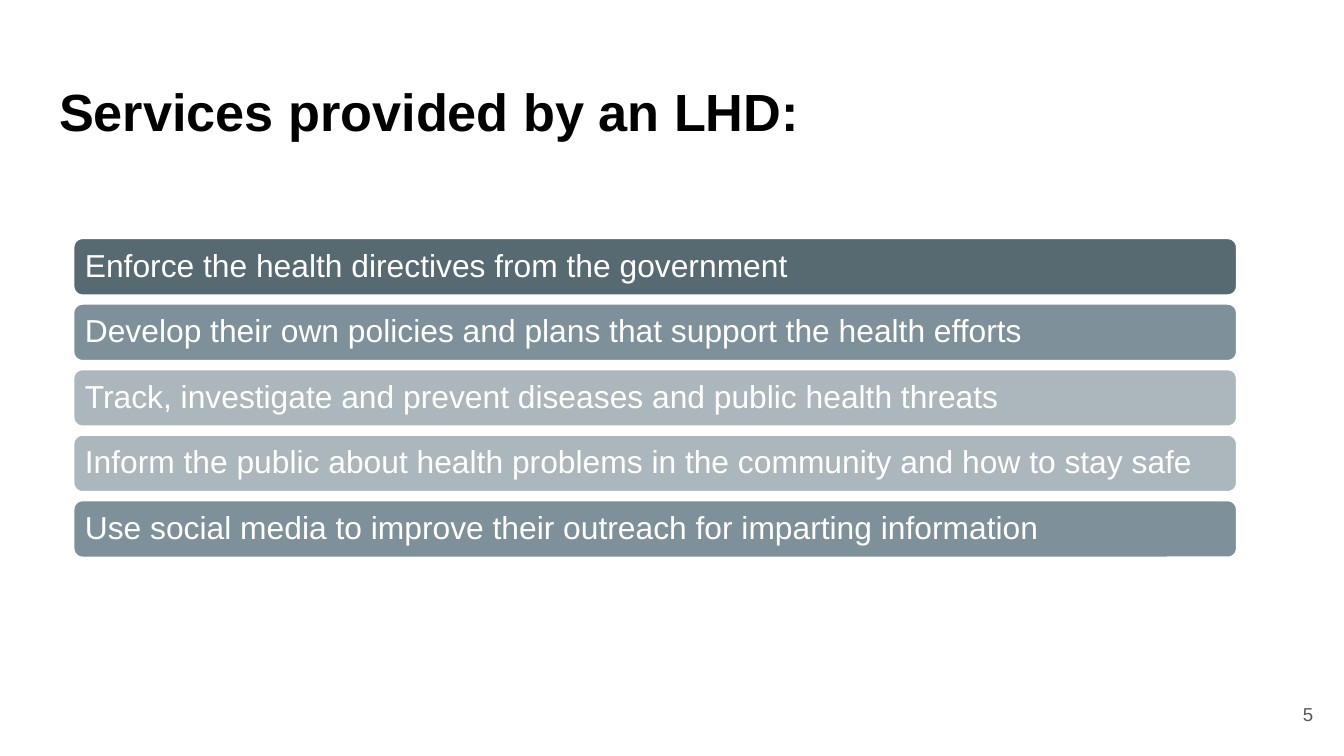
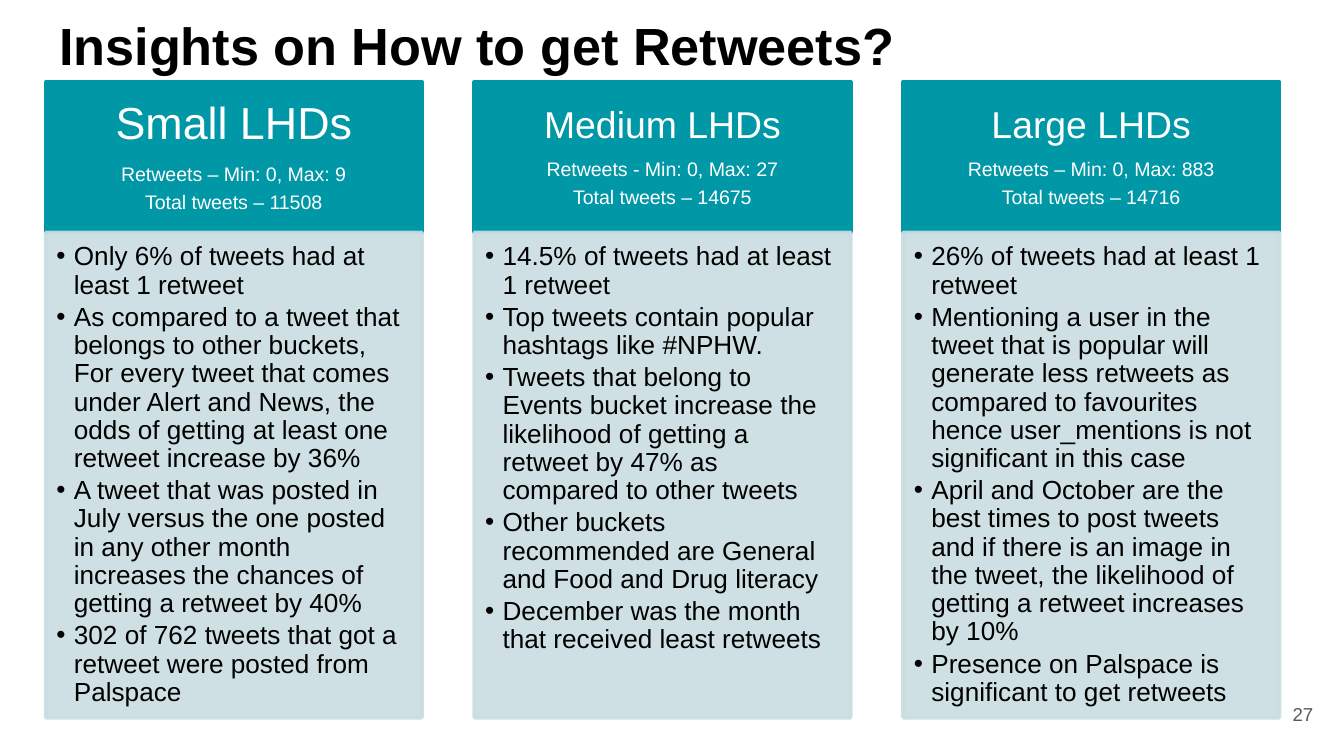
from dataclasses import dataclass

from lxml.etree import SubElement
from pptx import Presentation
from pptx.dml.color import RGBColor
from pptx.enum.shapes import MSO_SHAPE as Preset
from pptx.enum.text import MSO_ANCHOR as Anchor, MSO_AUTO_SIZE as AutoSize, PP_ALIGN as Align
from pptx.oxml.ns import qn
from pptx.util import Inches, Pt


@dataclass(frozen=True)
class Theme:
    font: str = "Arial"
    white: str = "FFFFFF"
    ink: str = "000000"
    muted: str = "595959"
    slate: str = "576971"
    steel: str = "7E909A"
    mist: str = "ACB7BD"
    teal: str = "0097A7"
    pale: str = "C9DDE1"
    title_size: float = 28
    bar_size: float = 17
    bullet_size: float = 14
    detail_size: float = 10.5
    number_size: float = 10
    tight: float = 0.9
    outline: float = 2


THEME = Theme()
WIDTH = Inches(10)
HEIGHT = WIDTH * 9 // 16

SERVICES = [
    ("Enforce the health directives from the government", THEME.slate),
    ("Develop their own policies and plans that support the health efforts", THEME.steel),
    ("Track, investigate and prevent diseases and public health threats", THEME.mist),
    ("Inform the public about health problems in the community and how to stay safe", THEME.mist),
    ("Use social media to improve their outreach for imparting information", THEME.steel),
]

# Heading, heading size, detail lines, findings
INSIGHTS = [
    ("Small LHDs", 24, ["Retweets – Min: 0, Max: 9", "Total tweets – 11508"], [
        "Only 6% of tweets had at least 1 retweet",
        "As compared to a tweet that belongs to other buckets, For every tweet that comes "
        "under Alert and News, the odds of getting at least one retweet increase by 36%",
        "A tweet that was posted in July versus the one posted in any other month "
        "increases the chances of getting a retweet by 40%",
        "302 of 762 tweets that got a retweet were posted from Palspace",
    ]),
    ("Medium LHDs", 20, ["Retweets - Min: 0, Max: 27", "Total tweets – 14675"], [
        "14.5% of tweets had at least 1 retweet",
        "Top tweets contain popular hashtags like #NPHW.",
        "Tweets that belong to Events bucket increase the likelihood of getting a retweet "
        "by 47% as compared to other tweets",
        "Other buckets recommended are General and Food and Drug literacy",
        "December was the month that received least retweets",
    ]),
    ("Large LHDs", 20, ["Retweets – Min: 0, Max: 883", "Total tweets – 14716"], [
        "26% of tweets had at least 1 retweet",
        "Mentioning a user in the tweet that is popular will generate less retweets as "
        "compared to favourites hence user_mentions is not significant in this case",
        "April and October are the best times to post tweets and if there is an image in "
        "the tweet, the likelihood of getting a retweet increases by 10%",
        "Presence on Palspace is significant to get retweets",
    ]),
]


def area(left, top, width, height):
    """Turn percentages of the slide into lengths."""
    return (int(WIDTH * left / 100), int(HEIGHT * top / 100),
            int(WIDTH * width / 100), int(HEIGHT * height / 100))


def set_frame(box, insets, anchor=Anchor.MIDDLE):
    frame = box.text_frame
    frame.word_wrap = True
    frame.auto_size = AutoSize.NONE
    frame.vertical_anchor = anchor
    (frame.margin_left, frame.margin_top,
     frame.margin_right, frame.margin_bottom) = map(Inches, insets)
    return frame


def write(frame, text, size, color, align=Align.LEFT, bold=False,
          spacing=1.0, before=0, bullet=False):
    """Fill the empty first paragraph, or append another."""
    para = frame.paragraphs[0]
    if para.runs:
        para = frame.add_paragraph()
    para.add_run().text = text
    para.alignment = align
    para.line_spacing = spacing
    para.space_before = Pt(before)
    if bullet:
        add_bullet(para, color)
    font = para.font
    font.name, font.size, font.bold = THEME.font, Pt(size), bold
    font.color.rgb = RGBColor.from_string(color)


def add_bullet(para, color):
    para.level = 1
    properties = para._p.get_or_add_pPr()
    properties.set("marL", str(Inches(0.13)))
    properties.set("indent", str(-Inches(0.13)))
    SubElement(SubElement(properties, qn("a:buClr")), qn("a:srgbClr"), val=color)
    SubElement(properties, qn("a:buFont"), typeface=THEME.font)
    SubElement(properties, qn("a:buChar"), char="•")


def add_panel(page, place, fill, line, preset=Preset.RECTANGLE, opacity=100):
    panel = page.shapes.add_shape(preset, *place)
    panel.shadow.inherit = False
    panel.fill.solid()
    panel.fill.fore_color.rgb = RGBColor.from_string(fill)
    panel.line.color.rgb = RGBColor.from_string(line)
    panel.line.width = Pt(THEME.outline)
    if opacity < 100:
        for color in panel._element.spPr.iter(qn("a:srgbClr")):
            SubElement(color, qn("a:alpha"), val=str(opacity * 1000))
    return panel


def add_page(deck, title, title_place, number):
    """Add a slide with its title and page number."""
    page = deck.slides.add_slide(deck.slide_layouts.get_by_name("Title Only"))
    heading = page.shapes.title
    heading.left, heading.top, heading.width, heading.height = title_place
    frame = set_frame(heading, (0.1,) * 4, Anchor.TOP)
    write(frame, title, THEME.title_size, THEME.ink, bold=True)
    box = page.shapes.add_textbox(*area(92.7, 90.67, 6, 7.64))
    frame = set_frame(box, (0.1,) * 4)
    write(frame, str(number), THEME.number_size, THEME.muted, Align.RIGHT)
    return page


def add_service_bar(page, row, text, color):
    bar = add_panel(page, area(5.4, 31.4 + row * 8.67, 86.7, 7.8),
                    color, THEME.white, Preset.ROUNDED_RECTANGLE)
    bar.adjustments[0] = 0.17
    write(set_frame(bar, (0.07,) * 4), text, THEME.bar_size, THEME.white,
          spacing=THEME.tight)


def add_insight_column(page, column, heading, size, details, findings):
    left, width = 3.4 + column * 31.9, 28
    # Header with its figures
    header = add_panel(page, area(left, 10.84, width, 19.92), THEME.teal, THEME.teal)
    frame = set_frame(header, (0.16, 0.09, 0.16, 0.09))
    centred = dict(color=THEME.white, align=Align.CENTER, spacing=THEME.tight)
    write(frame, heading, size, **centred)
    for text, before in zip(details, (size * 0.35, 3.7)):
        write(frame, text, THEME.detail_size, before=before, **centred)
    # Findings
    body = add_panel(page, area(left, 30.76, width, 64.18), THEME.pale, THEME.pale, opacity=90)
    frame = set_frame(body, (0.08, 0.08, 0.11, 0.12), Anchor.TOP)
    for index, text in enumerate(findings):
        write(frame, text, THEME.bullet_size, THEME.ink, spacing=THEME.tight,
              before=2.1 if index else 0, bullet=True)


def main():
    deck = Presentation()
    deck.slide_width, deck.slide_height = WIDTH, HEIGHT

    # Services
    page = add_page(deck, "Services provided by an LHD:", area(3.4, 8.71, 90.4, 8), 5)
    for row, service in enumerate(SERVICES):
        add_service_bar(page, row, *service)

    # Insights by size of department
    page = add_page(deck, "Insights on How to get Retweets?", area(3.4, 0, 93.2, 11.2), 27)
    for column, insight in enumerate(INSIGHTS):
        add_insight_column(page, column, *insight)

    deck.save("out.pptx")


if __name__ == "__main__":
    main()
